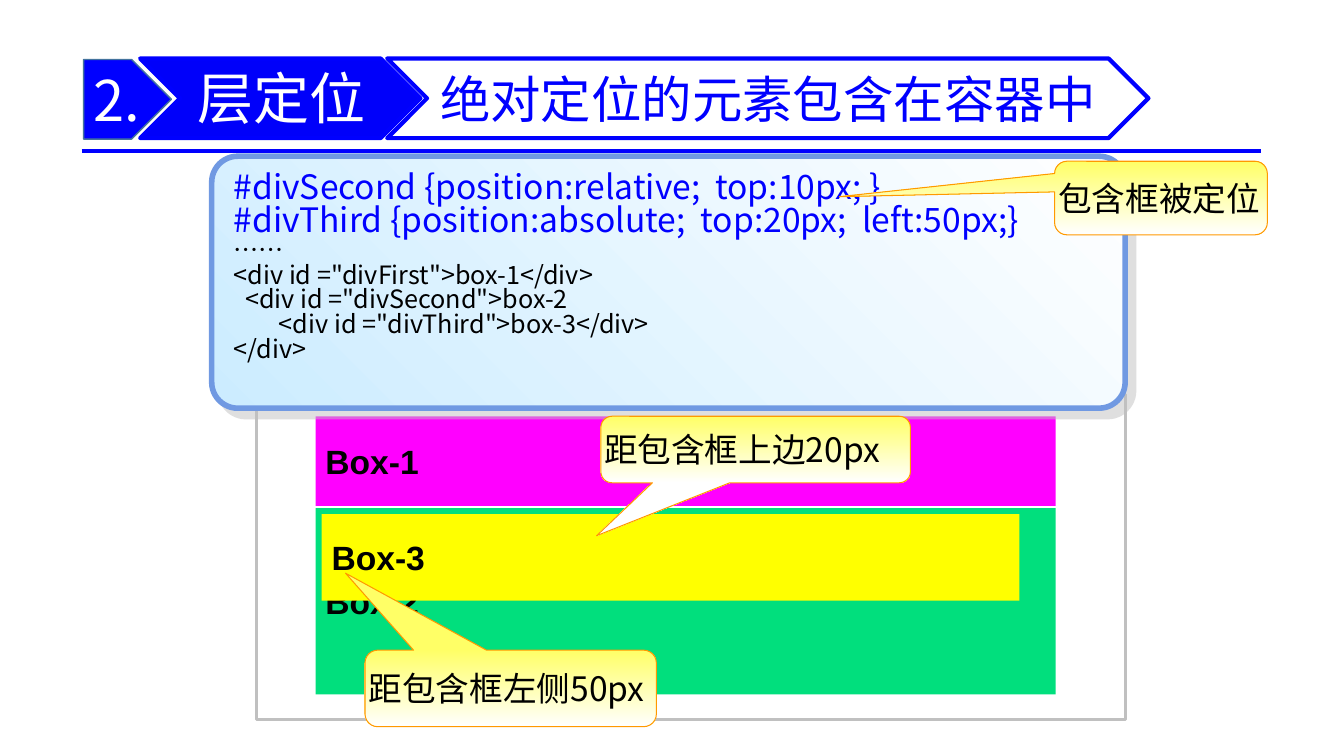
"""Build a slide on absolutely positioned elements inside a container."""
import pptx
import pptx.util
import pptx.dml.color
import pptx.enum.shapes
import pptx.enum.text
import pptx.oxml
import lxml.etree

PX = 9144
CJK = "Noto Sans CJK SC"
MSO = pptx.enum.shapes.MSO_SHAPE
ALIGN = pptx.enum.text.PP_ALIGN
ANCHOR = pptx.enum.text.MSO_ANCHOR
NS = "http://schemas.openxmlformats.org/drawingml/2006/main"
rgb = pptx.dml.color.RGBColor.from_string


def write(sp, text, size=24, color="000000", font=CJK, bold=False, align=ALIGN.LEFT,
          anchor=ANCHOR.MIDDLE, inset=(0, 0, 0, 0), first=True, spacing=None):
    tf = sp.text_frame
    tf.word_wrap = True
    tf.vertical_anchor = anchor
    tf.margin_left, tf.margin_top, tf.margin_right, tf.margin_bottom = [n * PX for n in inset]
    p = tf.paragraphs[0] if first else tf.add_paragraph()
    p.alignment = align
    if spacing:
        p.line_spacing = spacing
    r = p.add_run()
    r.text = text
    r.font.size = pptx.util.Pt(size)
    r.font.bold = bold
    r.font.name = font
    r.font.color.rgb = rgb(color)
    ea = lxml.etree.SubElement(r.font._element, f"{{{NS}}}ea")
    ea.set("typeface", font)


def draw(kind, at, fill=None, line=None, width=1, angle=0, adj=()):
    sp = s.shapes.add_shape(kind, *[n * PX for n in at])
    sp.shadow.inherit = False
    for i, value in enumerate(adj):
        sp.adjustments[i] = value
    if isinstance(fill, tuple):
        sp.fill.gradient()
        sp.fill.gradient_angle = angle
        for stop, color in zip(sp.fill.gradient_stops, fill):
            stop.color.rgb = rgb(color)
    elif fill:
        sp.fill.solid()
        sp.fill.fore_color.rgb = rgb(fill)
    else:
        sp.fill.background()
    if line:
        sp.line.color.rgb = rgb(line)
        sp.line.width = pptx.util.Pt(width)
    else:
        sp.line.fill.background()
    return sp


prs = pptx.Presentation()
prs.slide_width, prs.slide_height = 1333 * PX, 750 * PX
s = prs.slides.add_slide(prs.slide_layouts[6])

rule = s.shapes.add_connector(pptx.enum.shapes.MSO_CONNECTOR.STRAIGHT,
                              81 * PX, 150 * PX, 1251 * PX, 150 * PX)
rule.line.color.rgb = rgb("0000FF")
rule.line.width = pptx.util.Pt(3)
lxml.etree.SubElement(rule._element.spPr, f"{{{NS}}}effectLst")

draw(MSO.RECTANGLE, (254, 391, 862, 323), line="C0C0C0", width=2.25)
for label, at, fill in [
    ("Box-1", (313, 413, 734, 89), "FF00FF"),
    ("Box-2", (313, 504, 734, 185), "01DF7D"),
    ("Box-3", (319, 510, 692, 86), "FFFF00"),
]:
    sp = draw(MSO.RECTANGLE, at, fill)
    write(sp, label, font="Arial", bold=True, inset=(10, 5, 10, 5))

panel = draw(MSO.ROUNDED_RECTANGLE, (210, 155, 906, 250), ("CCECFF", "FFFFFF"),
             "7099E2", 4, angle=45, adj=[0.103])
panel._element.spPr.find(f"{{{NS}}}effectLst").append(pptx.oxml.parse_xml(
    f'<a:outerShdw xmlns:a="{NS}" blurRad="0" dist="107950" dir="2700000" algn="ctr" '
    'rotWithShape="0"><a:srgbClr val="C0C0C0"><a:alpha val="50000"/></a:srgbClr></a:outerShdw>'))

code = s.shapes.add_textbox(222 * PX, 167 * PX, 881 * PX, 240 * PX)
for i, text in enumerate([
    "#divSecond {position:relative;  top:10px; }",
    "#divThird {position:absolute;  top:20px;  left:50px;}",
    "……",
    '<div id ="divFirst">box-1</div>',
    '  <div id ="divSecond">box-2',
    '        <div id ="divThird">box-3</div>',
    "</div>",
]):
    size, color = (24, "0000FF") if i < 2 else (18, "000000")
    write(code, text, size, color, anchor=ANCHOR.TOP, inset=(10, 5, 10, 5),
          first=i == 0, spacing=0.82)

for text, at, tip in [
    ("距包含框左侧50px", (362, 645, 289, 76), (-0.567, -1.505)),
    ("距包含框上边20px", (596, 413, 307, 66), (-0.514, 1.297)),
    ("包含框被定位", (1046, 160, 211, 73), (-1.512, -0.018)),
]:
    sp = draw(MSO.ROUNDED_RECTANGULAR_CALLOUT, at, ("FFFF66", "FFFFFF"), "FF9900", 0.75,
              angle=270, adj=[*tip, 0.167])
    write(sp, text)

number = draw(MSO.PENTAGON, (83, 59, 87, 79), "0000FF", "43739E")
write(number, "2.", 40, "FFFFFF", inset=(10, 5, 0, 5))
draw(MSO.CHEVRON, (139, 58, 278, 79), "0000FA", "0000FF", 3)
section = s.shapes.add_textbox(46 * PX, 42 * PX, 463 * PX, 108 * PX)
write(section, "层定位", 40, "FFFFFF", align=ALIGN.CENTER, inset=(4, 2, 0, 2))
topic = draw(MSO.CHEVRON, (384, 58, 755, 79), "FFFFFF", "0000FF", 3)
write(topic, "绝对定位的元素包含在容器中", 36, "0000FF", align=ALIGN.CENTER)

prs.save("out.pptx")
